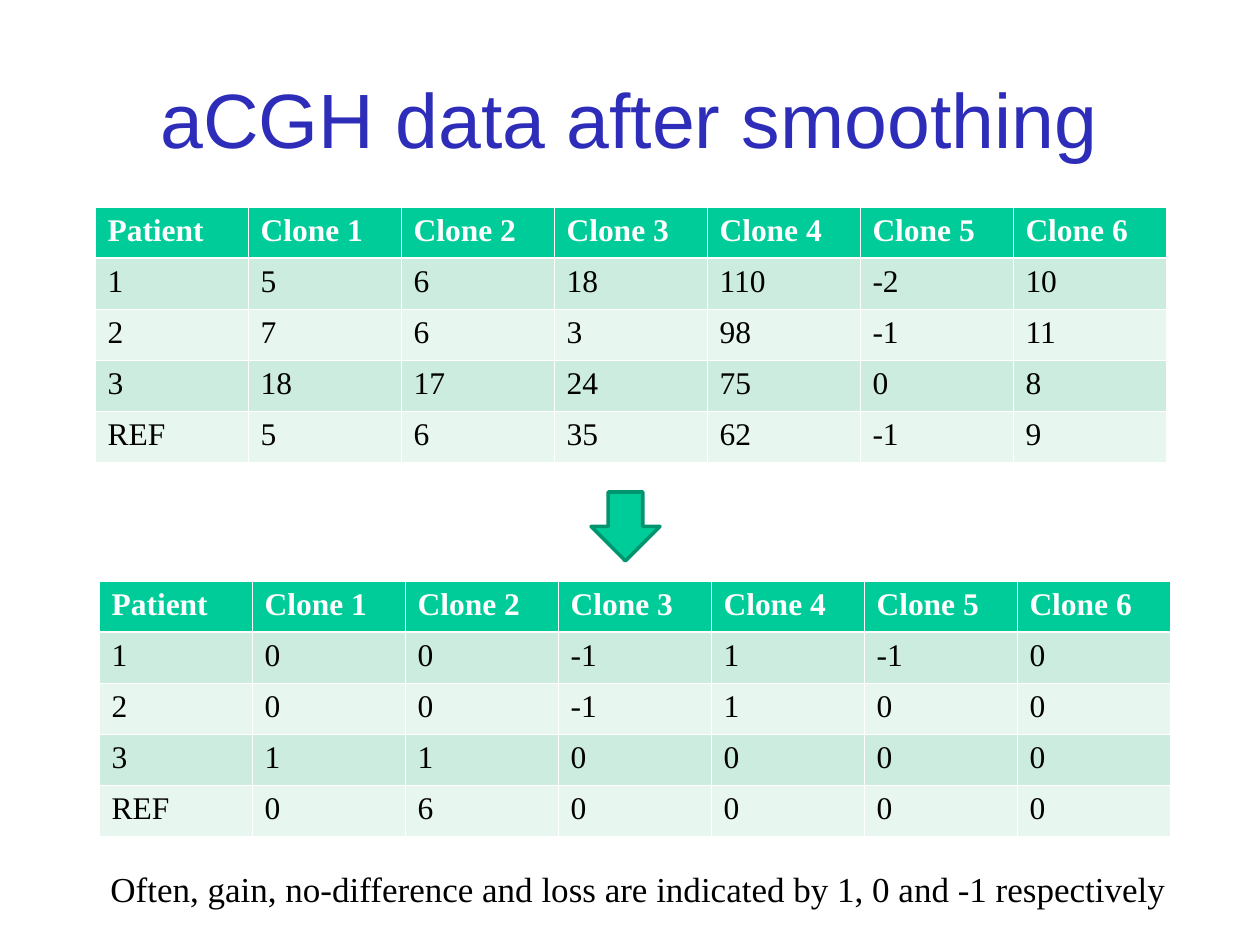
from lxml import etree
from pptx import Presentation
from pptx import util as u
from pptx.dml.color import RGBColor
from pptx.enum import shapes, text
from pptx.oxml.ns import qn

PX = u.Inches(1) / 126  # one px in EMU

WHITE = RGBColor(0xFF, 0xFF, 0xFF)
BLACK = RGBColor(0x00, 0x00, 0x00)
BLUE = RGBColor(0x2D, 0x2D, 0xB9)
GREEN = RGBColor(0x00, 0xCC, 0x99)
DARK_GREEN = RGBColor(0x00, 0x95, 0x6F)
DARK_BAND = RGBColor(0xCB, 0xEC, 0xDE)
LIGHT_BAND = RGBColor(0xE7, 0xF6, 0xEF)

HEADER = ["Patient"] + [f"Clone {number}" for number in range(1, 7)]
SMOOTHED = [
    ["1", "5", "6", "18", "110", "-2", "10"],
    ["2", "7", "6", "3", "98", "-1", "11"],
    ["3", "18", "17", "24", "75", "0", "8"],
    ["REF", "5", "6", "35", "62", "-1", "9"],
]
CALLS = [
    ["1", "0", "0", "-1", "1", "-1", "0"],
    ["2", "0", "0", "-1", "1", "0", "0"],
    ["3", "1", "1", "0", "0", "0", "0"],
    ["REF", "0", "6", "0", "0", "0", "0"],
]


def emu(*lengths):
    return [round(length * PX) for length in lengths]


class SlideBuilder:
    heading_font = "Arial"
    body_font = "Times New Roman"
    column_width, row_height = 153, 51
    thin, thick = u.Pt(0.45), u.Pt(1.47)

    def __init__(self, slide):
        self.slide = slide

    def add_run(self, paragraph, words, size, color, font=body_font, bold=False):
        run = paragraph.add_run()
        run.text = words
        run.font.name = font
        run.font.size = u.Pt(size)
        run.font.bold = bold
        run.font.color.rgb = color

    def add_text(self, box, words, size, color, font=body_font,
                 align=text.PP_ALIGN.LEFT, anchor=text.MSO_ANCHOR.TOP):
        frame = self.slide.shapes.add_textbox(*emu(*box)).text_frame
        frame.word_wrap = True
        frame.vertical_anchor = anchor
        paragraph = frame.paragraphs[0]
        paragraph.alignment = align
        self.add_run(paragraph, words, size, color, font)

    def add_borders(self, cell, top, bottom):
        properties = cell._tc.get_or_add_tcPr()
        widths = {"lnL": self.thin, "lnR": self.thin, "lnT": top, "lnB": bottom}
        for side, width in widths.items():
            line = etree.SubElement(properties, qn(f"a:{side}"), w=str(width))
            fill = etree.SubElement(line, qn("a:solidFill"))
            etree.SubElement(fill, qn("a:srgbClr"), val=str(WHITE))

    def add_table(self, left, top, rows):
        row_count, column_count = len(rows), len(rows[0])
        box = emu(left, top, column_count * self.column_width,
                  row_count * self.row_height)
        table = self.slide.shapes.add_table(row_count, column_count, *box).table
        table.horz_banding = False
        for column in table.columns:
            column.width = emu(self.column_width)[0]
        for r, values in enumerate(rows):
            table.rows[r].height = emu(self.row_height)[0]
            header = r == 0
            band = DARK_BAND if r % 2 else LIGHT_BAND
            for c, value in enumerate(values):
                cell = table.cell(r, c)
                self.add_borders(cell,
                                 top=self.thick if r == 1 else self.thin,
                                 bottom=self.thick if header else self.thin)
                cell.fill.solid()
                cell.fill.fore_color.rgb = GREEN if header else band
                self.add_run(cell.text_frame.paragraphs[0], value, 18,
                             WHITE if header else BLACK, bold=header)

    def add_down_arrow(self, box):
        shape = self.slide.shapes.add_shape(
            shapes.MSO_SHAPE.DOWN_ARROW, *emu(*box))
        shape.shadow.inherit = False
        shape.fill.solid()
        shape.fill.fore_color.rgb = GREEN
        shape.line.color.rgb = DARK_GREEN
        shape.line.width = u.Pt(2)


def main():
    presentation = Presentation()
    presentation.slide_width, presentation.slide_height = emu(1260, 945)
    slide = presentation.slides.add_slide(presentation.slide_layouts[6])
    builder = SlideBuilder(slide)

    # Title
    builder.add_text((94, 39, 1071, 158), "aCGH data after smoothing", 44, BLUE,
                     font=builder.heading_font, align=text.PP_ALIGN.CENTER,
                     anchor=text.MSO_ANCHOR.MIDDLE)

    # Smoothed values, then the gain and loss calls
    builder.add_table(95, 207, [HEADER] + SMOOTHED)
    builder.add_down_arrow((591, 492, 69, 69))
    builder.add_table(99, 581, [HEADER] + CALLS)

    # Explanation
    builder.add_text(
        (98, 861, 1082, 55),
        "Often, gain, no-difference and loss are indicated by 1, 0 and -1 respectively",
        20, BLACK)

    presentation.save("out.pptx")


if __name__ == "__main__":
    main()
